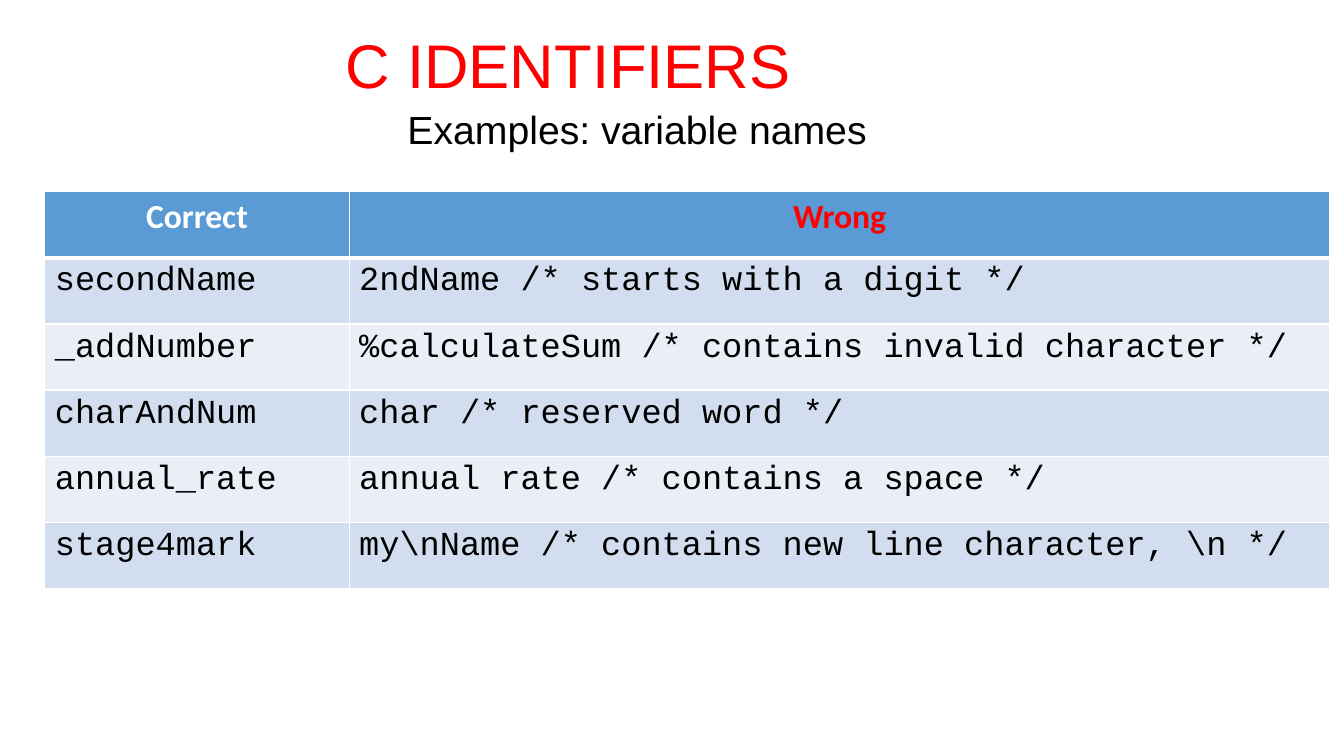
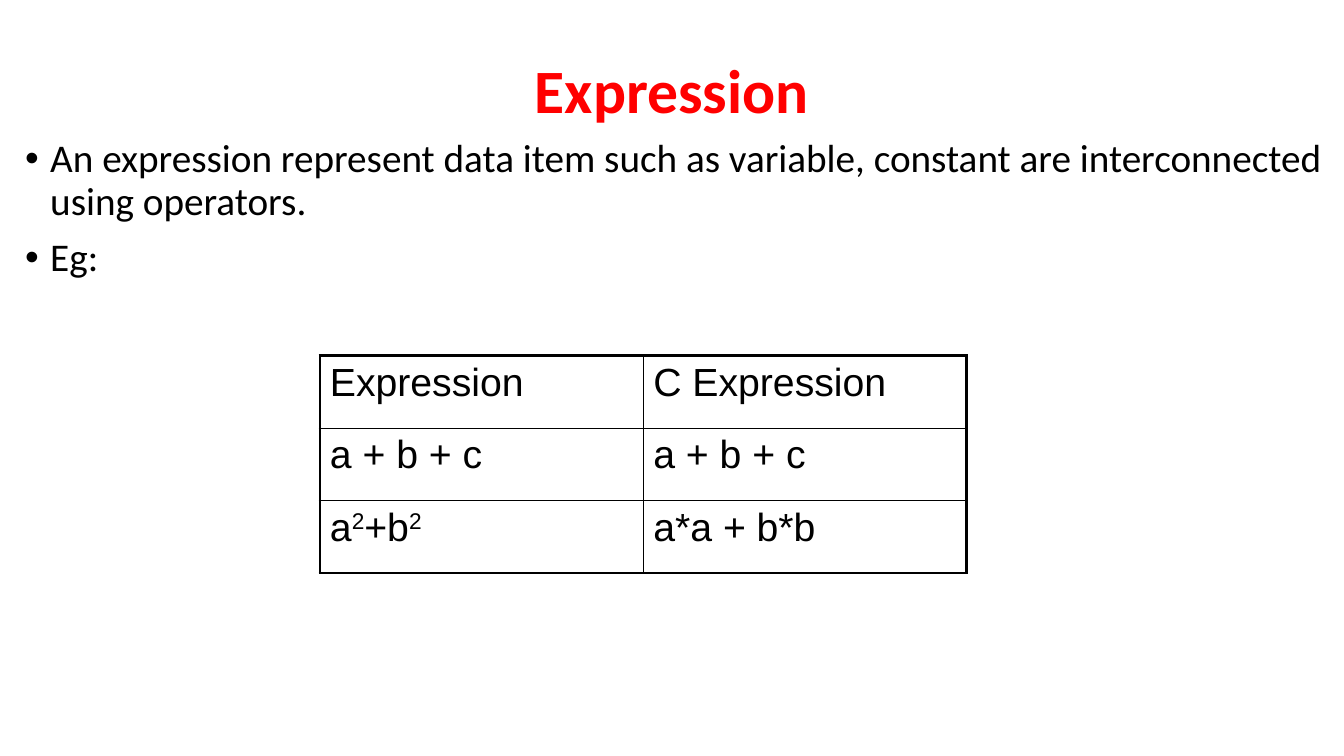
from lxml.etree import SubElement
from pptx import Presentation
from pptx.dml.color import RGBColor
from pptx.enum.text import MSO_ANCHOR, PP_ALIGN
from pptx.oxml.ns import qn
from pptx.util import Pt

RED = RGBColor(0xFF, 0x00, 0x00)
BLACK = RGBColor(0x00, 0x00, 0x00)
WHITE = RGBColor(0xFF, 0xFF, 0xFF)
BLUE = RGBColor(0x5B, 0x9B, 0xD5)
BANDS = RGBColor(0xEA, 0xEF, 0xF7), RGBColor(0xD2, 0xDE, 0xEF)

SANS, BODY, CODE = "Arial", "Calibri", "Courier New"
INDENT = 18

NAMES = [
    ("Correct", "Wrong"),
    ("secondName", "2ndName /* starts with a digit */"),
    ("_addNumber", "%calculateSum /* contains invalid character */"),
    ("charAndNum", "char /* reserved word */"),
    ("annual_rate", "annual rate /* contains a space */"),
    ("stage4mark", "my\\nName /* contains new line character, \\n */"),
]
# A caret marks the next character as superscript
FORMS = [
    ("Expression", "C Expression"),
    ("a + b + c", "a + b + c"),
    ("a^2+b^2", "a*a + b*b"),
]


def add_run(para, text, size, font, color=BLACK, bold=False):
    run = para.add_run()
    run.text = text
    run.font.size = Pt(size)
    run.font.name = font
    run.font.color.rgb = color
    run.font.bold = bold
    return run


def add_math(para, text, size, font):
    first, *rest = text.split("^")
    add_run(para, first, size, font)
    for part in rest:
        power = add_run(para, part[0], size, font)
        power._r.get_or_add_rPr().set("baseline", "30000")
        if part[1:]:
            add_run(para, part[1:], size, font)


def add_box(slide, box, anchor=MSO_ANCHOR.TOP):
    frame = slide.shapes.add_textbox(*map(Pt, box)).text_frame
    frame.word_wrap = True
    frame.vertical_anchor = anchor
    return frame


def add_line(frame, text, size, font, align=PP_ALIGN.LEFT, **style):
    para = frame.paragraphs[0]
    if para.runs:
        para = frame.add_paragraph()
        para.space_before = Pt(10)
    para.alignment = align
    para.line_spacing = 0.9
    add_run(para, text, size, font, **style)
    return para


def add_title(slide, text, box, font, **style):
    frame = add_box(slide, box, MSO_ANCHOR.MIDDLE)
    add_line(frame, text, 44, font, color=RED, **style)


def add_bullet(frame, text):
    props = add_line(frame, text, 28, BODY)._p.get_or_add_pPr()
    props.set("marL", str(Pt(INDENT)))
    props.set("indent", str(-Pt(INDENT)))
    SubElement(props, qn("a:buFont")).set("typeface", SANS)
    SubElement(props, qn("a:buChar")).set("char", "•")


def set_edges(cell, color, left, right, top, bottom):
    props = cell._tc.get_or_add_tcPr()
    for side, width in zip("LRTB", (left, right, top, bottom)):
        line = SubElement(props, qn("a:ln" + side), w=str(Pt(width)))
        fill = SubElement(line, qn("a:solidFill"))
        SubElement(fill, qn("a:srgbClr")).set("val", str(color))


def add_grid(slide, rows, left, top, widths, height):
    """Add an empty table and return its cells with their row, column and text."""
    size = sum(widths), height * len(rows)
    shape = slide.shapes.add_table(
        len(rows), len(widths), *map(Pt, (left, top, *size)))
    grid = shape.table
    for col, width in zip(grid.columns, widths):
        col.width = Pt(width)
    for row in grid.rows:
        row.height = Pt(height)
    return [(grid.cell(r, c), r, c, text)
            for r, row in enumerate(rows) for c, text in enumerate(row)]


def add_names(slide):
    for cell, r, c, text in add_grid(slide, NAMES, 32, 137, (217.4, 700.6), 47.2):
        para = cell.text_frame.paragraphs[0]
        set_edges(cell, WHITE, 1, 1, 3 if r == 1 else 1, 3 if r == 0 else 1)
        cell.fill.solid()
        if r == 0:
            cell.fill.fore_color.rgb = BLUE
            para.alignment = PP_ALIGN.CENTER
            add_run(para, text, 24, BODY, (WHITE, RED)[c], True)
        else:
            cell.fill.fore_color.rgb = BANDS[r % 2]
            add_run(para, text, 24, CODE)


def add_forms(slide):
    thick, thin = 2.25, 1
    last = len(FORMS) - 1
    for cell, r, c, text in add_grid(slide, FORMS, 228.5, 254, (231, 231), 51.8):
        tests = c == 0, c == 1, r == 0, r == last
        set_edges(cell, BLACK, *(thick if outer else thin for outer in tests))
        cell.fill.background()
        add_math(cell.text_frame.paragraphs[0], text, 28, SANS)


def main():
    deck = Presentation()
    deck.slide_width, deck.slide_height = Pt(960), Pt(540)
    blank = deck.slide_layouts[6]

    # Variable names
    slide = deck.slides.add_slide(blank)
    add_title(slide, "C IDENTIFIERS", (240, 21, 432, 55.4), SANS)
    frame = add_box(slide, (82, 75.6, 746, 400))
    add_line(frame, "Examples: variable names", 28, SANS, PP_ALIGN.CENTER)
    add_names(slide)

    # Expressions
    slide = deck.slides.add_slide(blank)
    add_title(slide, "Expression", (66, 28.8, 828, 75.6), BODY,
              align=PP_ALIGN.CENTER, bold=True)
    frame = add_box(slide, (10.8, 95.8, 940.4, 378))
    add_bullet(frame, "An expression represent data item such as variable, "
                      "constant are interconnected using operators.")
    add_bullet(frame, "Eg:")
    add_forms(slide)

    deck.save("out.pptx")


if __name__ == "__main__":
    main()
